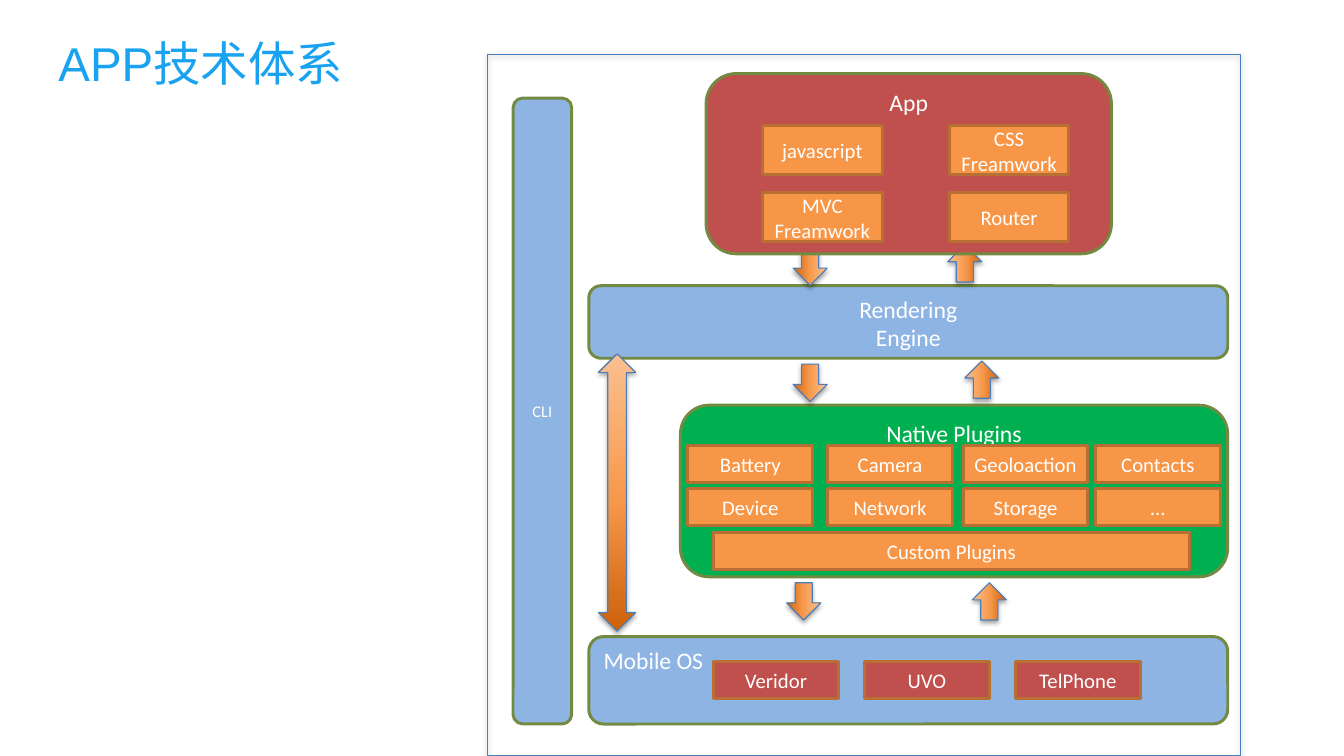
from lxml import etree
from pptx import Presentation
from pptx import util as u
from pptx.dml import color
from pptx.enum import shapes, text
from pptx.oxml import ns

HUES = {
    "title": "18A2EF", "white": "FFFFFF", "blue": "8EB4E3", "green": "00B050",
    "red": "C0504D", "orange": "F79646", "olive": "738A42", "brown": "B76F34",
    "edge": "4B7EBC", "dark": "CC6109", "mid": "F7994C", "light": "FAC090",
    "shade": "000000",
}
KIND = shapes.MSO_SHAPE
ALIGN = text.PP_ALIGN
ANCHOR = text.MSO_ANCHOR


def hue(name):
    return color.RGBColor.from_string(HUES[name])


def node(top, tag, **attrs):
    return etree.SubElement(top, ns.qn(tag), attrs)


def write(frame, lines, size, font="Calibri", tint="white", align=ALIGN.CENTER):
    frame.word_wrap = True
    for i, line in enumerate(lines):
        para = frame.paragraphs[0] if i == 0 else frame.add_paragraph()
        para.alignment = align
        run = para.add_run()
        run.text = line
        run.font.size = u.Pt(size)
        run.font.name = font
        run.font.color.rgb = hue(tint)


def shape(slide, kind, at, fill, line, width):
    item = slide.shapes.add_shape(kind, *map(u.Inches, at))
    item.shadow.inherit = False
    if fill:
        item.fill.solid()
        item.fill.fore_color.rgb = hue(fill)
    else:
        item.fill.background()
    item.line.color.rgb = hue(line)
    item.line.width = u.Pt(width)
    return item


def panel(slide, at, fill, lines, size=16, align=ALIGN.CENTER, anchor=ANCHOR.TOP):
    item = shape(slide, KIND.ROUNDED_RECTANGLE, at, fill, "olive", 2)
    item.text_frame.vertical_anchor = anchor
    write(item.text_frame, lines, size, align=align)


def box(slide, at, label, fill="orange"):
    item = shape(slide, KIND.RECTANGLE, at, fill, "brown", 2)
    frame = item.text_frame
    frame.vertical_anchor = ANCHOR.MIDDLE
    frame.margin_left = frame.margin_right = u.Inches(0.05)
    write(frame, [label], 14)


def shadow(item):
    effects = item._element.spPr.find(ns.qn("a:effectLst"))
    outer = node(effects, "a:outerShdw", blurRad=str(u.Pt(3.1)), dist=str(u.Pt(1.8)),
                 dir="5400000", rotWithShape="0")
    shade = node(outer, "a:srgbClr", val=HUES["shade"])
    node(shade, "a:alpha", val="35000")


def arrow(slide, kind, at, turn=0):
    item = shape(slide, kind, at, None, "edge", 0.75)
    item.rotation = turn
    shadow(item)
    # Gradient from dark at the bottom to light at the top
    props = item._element.spPr
    grad = etree.Element(ns.qn("a:gradFill"), rotWithShape="1")
    stops = node(grad, "a:gsLst")
    for pos, name in ((0, "dark"), (48, "mid"), (100, "light")):
        stop = node(stops, "a:gs", pos=str(pos * 1000))
        node(stop, "a:srgbClr", val=HUES[name])
    node(grad, "a:lin", ang="16200000", scaled="0")
    props.replace(props.find(ns.qn("a:noFill")), grad)


def main():
    deck = Presentation()
    deck.slide_width, deck.slide_height = u.Inches(12.6), u.Inches(7.09)
    slide = deck.slides.add_slide(deck.slide_layouts[6])

    # Title
    title = slide.shapes.add_textbox(*map(u.Inches, (0.45, 0.27, 2.89, 0.56)))
    write(title.text_frame, ["APP技术体系"], 32, "Arial", "title", ALIGN.LEFT)

    # Outer frame
    shadow(shape(slide, KIND.RECTANGLE, (4.57, 0.51, 7.06, 6.58), None, "edge", 0.75))

    # Rendering engine
    panel(slide, (5.52, 2.68, 5.99, 0.68), "blue", ["Rendering", "Engine"])

    # Mobile systems
    panel(slide, (5.52, 5.97, 5.99, 0.82), "blue", ["Mobile OS"], align=ALIGN.LEFT)
    for i, label in enumerate(("Veridor", "UVO", "TelPhone")):
        box(slide, (6.69 + i * 1.415, 6.2, 1.17, 0.35), label, "red")

    # Native plugins
    panel(slide, (6.38, 3.8, 5.13, 1.61), "green", ["Native Plugins"])
    plugins = (("Battery", "Camera", "Geoloaction", "Contacts"),
               ("Device", "Network", "Storage", "…"))
    for row, labels in enumerate(plugins):
        for left, label in zip((6.45, 7.76, 9.03, 10.27), labels):
            box(slide, (left, 4.18 + row * 0.4, 1.17, 0.35), label)
    box(slide, (6.69, 4.99, 4.46, 0.35), "Custom Plugins")

    # Arrows between the layers: down at 90 degrees, up at 270
    flows = ((7.42, 2.34, 90), (8.87, 2.31, 270), (7.42, 3.43, 90),
             (9.03, 3.4, 270), (7.36, 5.48, 90), (9.1, 5.48, 270))
    for left, top, turn in flows:
        arrow(slide, KIND.RIGHT_ARROW, (left, top, 0.35, 0.32), turn)
    arrow(slide, KIND.UP_DOWN_ARROW, (5.61, 3.32, 0.35, 2.6))

    # Command line bar
    panel(slide, (4.81, 0.92, 0.55, 5.87), "blue", ["CLI"], 11, anchor=ANCHOR.MIDDLE)

    # App layer
    panel(slide, (6.62, 0.69, 3.8, 1.69), "red", ["App"])
    parts = (("javascript", "CSS Freamwork"), ("MVC Freamwork", "Router"))
    for row, labels in enumerate(parts):
        for col, label in enumerate(labels):
            box(slide, (7.15 + col * 1.75, 1.18 + row * 0.63, 1.12, 0.46), label)

    deck.save("out.pptx")


if __name__ == "__main__":
    main()
